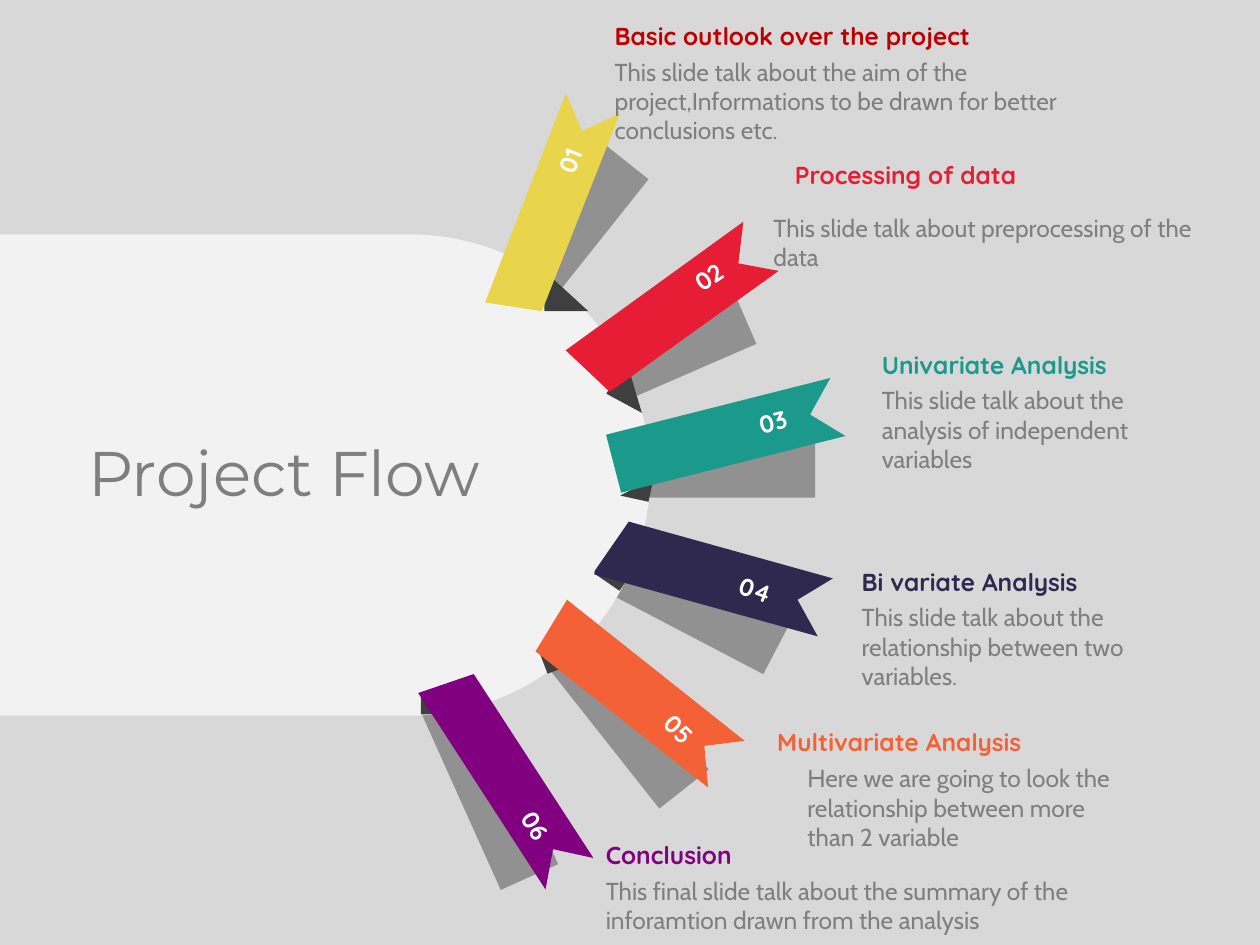
from dataclasses import dataclass
from math import cos, radians, sin

from lxml import etree
from pptx import Presentation
from pptx.dml.color import RGBColor
from pptx.enum.shapes import MSO_SHAPE
from pptx.enum.text import MSO_AUTO_SIZE, PP_ALIGN
from pptx.oxml.ns import qn
from pptx.util import Inches, Pt

RECTANGLE = MSO_SHAPE.RECTANGLE
TRIANGLE = MSO_SHAPE.RIGHT_TRIANGLE
ROUNDED_END = MSO_SHAPE.ROUND_2_SAME_RECTANGLE
GROW = MSO_AUTO_SIZE.SHAPE_TO_FIT_TEXT
LEFT, CENTER = PP_ALIGN.LEFT, PP_ALIGN.CENTER

BACKGROUND, HUB, DARK, GREY, WHITE = "D8D8D8", "F2F2F2", "3F3F3F", "7F7F7F", "FFFFFF"
SHADOW_OPACITY = 46


@dataclass
class Step:
    """Boxes are (left, top, width, height) in inches; turns are in degrees."""
    color: str
    shadow: tuple
    shadow_turn: float
    fold: tuple
    fold_turn: float
    outline: list
    ribbon_turn: float
    number_box: tuple
    number_turn: float
    title: str
    title_box: tuple
    detail: str
    detail_box: tuple
    title_color: str = ""


STEPS = [
    Step("E8D54B", (3.93, 1.51, 1.26, 0.5), 308.5, (4.32, 2.15, 0.35, 0.32), 0,
         [(4.49, 0.74), (4.62, 1.04), (4.92, 0.9), (4.3, 2.47), (3.85, 2.4)], 201.3,
         (4.23, 1.11, 0.57, 0.32), 292,
         "Basic outlook over the project", (4.78, 0.12, 3.18, 0.34),
         "This slide talk about the aim of the project,Informations to be drawn "
         "for better conclusions etc.", (4.78, 0.4, 3.96, 0.81), "C00000"),
    Step("E71D35", (4.75, 2.47, 1.2, 0.52), 336.5, (4.87, 2.9, 0.32, 0.32), 28.4,
         [(5.9, 1.76), (5.86, 2.09), (6.18, 2.15), (4.84, 3.11), (4.49, 2.78)], 234.4,
         (5.35, 2.03, 0.55, 0.34), 325.6,
         "Processing of data", (6.21, 1.22, 2.53, 0.34),
         "This slide talk about preprocessing of the data", (6.04, 1.64, 3.64, 0.57)),
    Step("1B998B", (4.87, 3.43, 1.6, 0.52), 0, (4.96, 3.75, 0.19, 0.23), 282.4,
         [(4.93, 3.91), (4.81, 3.45), (6.59, 3), (6.43, 3.29), (6.71, 3.46)], 255.9,
         (5.86, 3.18, 0.55, 0.34), 345.9,
         "Univariate Analysis", (6.9, 2.73, 2.53, 0.34),
         "This slide talk about the analysis of independent variables",
         (6.9, 3.01, 2.75, 0.81)),
    Step("2F294F", (4.67, 4.49, 1.6, 0.52), 27.6, (4.77, 4.41, 0.2, 0.25), 304.6,
         [(4.99, 4.14), (6.61, 4.59), (6.33, 4.76), (6.49, 5.05), (4.72, 4.56),
          (4.72, 4.53)], 285.4,
         (5.72, 4.51, 0.55, 0.34), 19.4,
         "Bi variate Analysis", (6.74, 4.45, 2.53, 0.34),
         "This slide talk about the relationship between two variables.",
         (6.74, 4.73, 2.75, 0.81)),
    Step("F46136", (4.06, 5.35, 1.69, 0.5), 51.7, (4.3, 5.1, 0.19, 0.22), 338.9,
         [(4.5, 4.76), (5.91, 5.88), (5.59, 5.92), (5.62, 6.25), (4.25, 5.17)], 308.3,
         (5.11, 5.62, 0.55, 0.34), 44.6,
         "Multivariate Analysis", (6.07, 5.72, 2.53, 0.34),
         "Here we are going to look the relationship between more than 2 variable",
         (6.31, 6.01, 2.75, 0.81)),
    Step("800080", (3.01, 5.94, 1.69, 0.5), 65.8, (3.34, 5.5, 0.19, 0.17), 0,
         [(3.76, 5.35), (4.71, 6.81), (4.39, 6.74), (4.33, 7.06), (3.32, 5.5)], 326.9,
         (3.97, 6.39, 0.57, 0.32), 59,
         "Conclusion", (4.71, 6.62, 2.53, 0.34),
         "This final slide talk about the summary of the inforamtion drawn from "
         "the analysis", (4.71, 6.9, 4.56, 0.57)),
]


def rgb(color):
    return RGBColor.from_string(color)


def paint(shape, color, turn):
    shape.fill.solid()
    shape.fill.fore_color.rgb = rgb(color)
    shape.line.fill.background()
    shape.shadow.inherit = False
    shape.rotation = turn


def add_shape(page, kind, box, color, turn=0):
    shape = page.shapes.add_shape(kind, *map(Inches, box))
    paint(shape, color, turn)
    return shape


def add_shadow(page, step):
    shape = add_shape(page, RECTANGLE, step.shadow, DARK, step.shadow_turn)
    color = next(shape.element.iter(qn("a:srgbClr")))
    etree.SubElement(color, qn("a:alpha"), val=str(SHADOW_OPACITY * 1000))


def add_hub(page, box):
    shape = add_shape(page, ROUNDED_END, box, HUB, 90)
    shape.adjustments[0] = 0.5
    shape.adjustments[1] = 0


def upright(points, turn):
    """Turn points back by the given angle, keeping the middle of their upright box."""
    angle = radians(-turn)

    def rotate(x, y, by):
        return x * cos(by) - y * sin(by), x * sin(by) + y * cos(by)

    turned = [rotate(x, y, angle) for x, y in points]
    middle = [(min(axis) + max(axis)) / 2 for axis in zip(*turned)]
    center = rotate(*middle, -angle)
    return [(x - middle[0] + center[0], y - middle[1] + center[1]) for x, y in turned]


def add_ribbon(page, step):
    add_shape(page, TRIANGLE, step.fold, DARK, step.fold_turn)
    points = [(Inches(x), Inches(y)) for x, y in upright(step.outline, step.ribbon_turn)]
    builder = page.shapes.build_freeform(*points[0])
    builder.add_line_segments(points[1:], close=True)
    paint(builder.convert_to_shape(), step.color, step.ribbon_turn)


def add_text(page, box, text, font, color, size=14, bold=False, align=LEFT, turn=0):
    shape = page.shapes.add_textbox(*map(Inches, box))
    shape.rotation = turn
    frame = shape.text_frame
    frame.word_wrap = True
    frame.auto_size = GROW
    para = frame.paragraphs[0]
    para.alignment = align
    span = para.add_run()
    span.text = text
    span.font.name = font
    span.font.size = Pt(size)
    span.font.bold = bold
    span.font.color.rgb = rgb(color)


def add_labels(page, number, step):
    add_text(page, step.title_box, step.title, "Quicksand",
             step.title_color or step.color, bold=True)
    add_text(page, step.detail_box, step.detail, "Cabin", GREY)
    add_text(page, step.number_box, f"{number:02}", "Quicksand", WHITE,
             bold=True, align=CENTER, turn=step.number_turn)


def add_project_flow(page):
    first, *others = STEPS
    for step in reversed(others):
        add_shadow(page, step)
    add_hub(page, (0.66, 1.18, 3.82, 5.18))
    add_shadow(page, first)  # the first shadow falls on the hub
    for step in STEPS:
        add_ribbon(page, step)
    add_text(page, (0.05, 3.39, 4.41, 0.71), "Project Flow", "Montserrat", GREY,
             size=36, align=CENTER)
    for number, step in enumerate(STEPS, 1):
        add_labels(page, number, step)


def main():
    deck = Presentation()
    deck.slide_width, deck.slide_height = Inches(10), Inches(7.5)
    page = deck.slides.add_slide(deck.slide_layouts[6])
    page.background.fill.solid()
    page.background.fill.fore_color.rgb = rgb(BACKGROUND)
    add_project_flow(page)
    deck.save("out.pptx")


if __name__ == "__main__":
    main()
